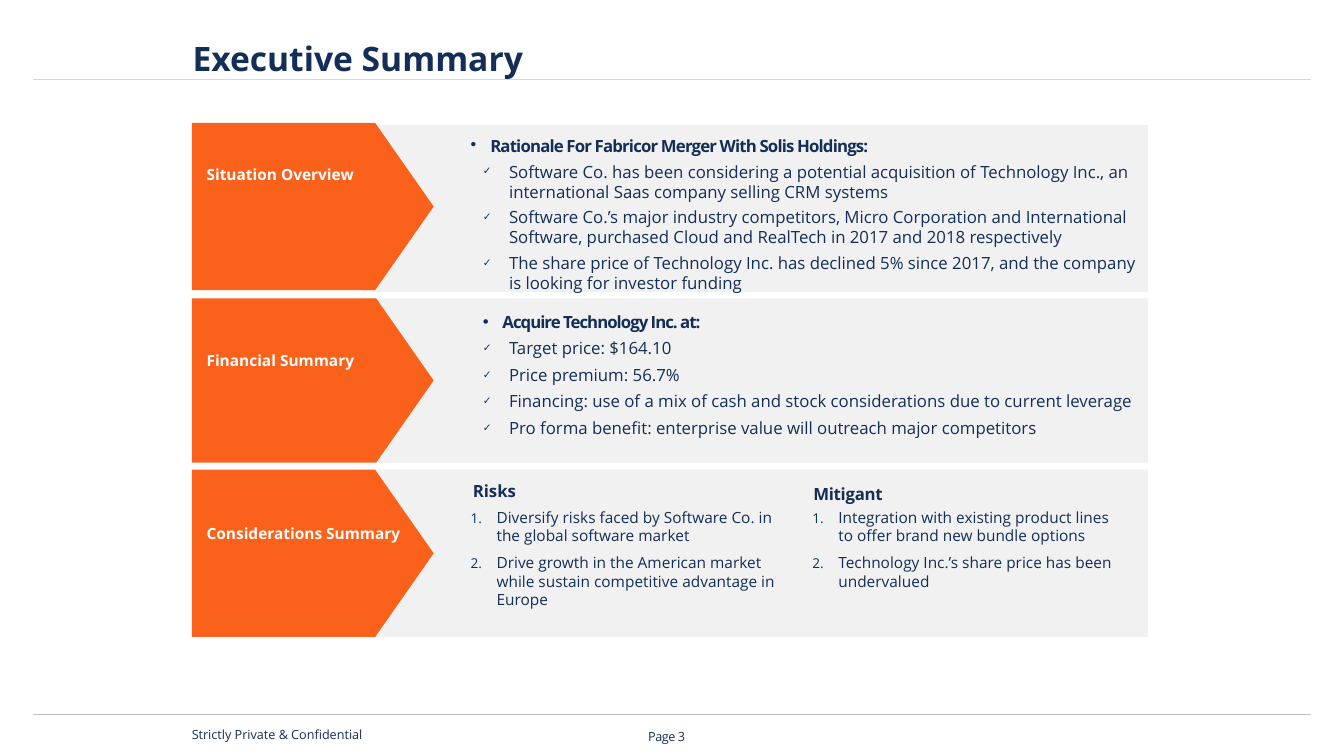
from collections import namedtuple

from lxml import etree
from pptx import Presentation
from pptx.dml.color import RGBColor
from pptx.enum.shapes import MSO_CONNECTOR, MSO_SHAPE
from pptx.enum.text import MSO_ANCHOR, MSO_AUTO_SIZE, PP_ALIGN
from pptx.oxml.ns import qn
from pptx.util import Pt

RECT, ARROW = MSO_SHAPE.RECTANGLE, MSO_SHAPE.PENTAGON
STRAIGHT = MSO_CONNECTOR.STRAIGHT
TOP, LEFT, FIXED = MSO_ANCHOR.TOP, PP_ALIGN.LEFT, MSO_AUTO_SIZE.NONE

Style = namedtuple("Style", "size color bold tracking before after leading level margin bullet bullet_pct",
                   defaults=(False, 0, 0, 0, 1.0, 0, 0, None, 100))


class Theme:
    font = "Open Sans"
    navy, orange, white = "132E57", "FA621C", "FFFFFF"
    panel, bullet = "F1F1F1", "003366"
    top_rule, bottom_rule = "D9D9D9", "BEBEBE"
    title = Style(24, navy, True)
    label = Style(11, white, True)
    heading = Style(12, navy, True)
    tight_heading = Style(12, navy, True, -0.2)
    lead = Style(12, navy, True, -0.6, margin=14, bullet="•")
    spaced_lead = lead._replace(tracking=-0.7, leading=1.05)
    check = Style(12, navy, before=3.8, margin=18.7, bullet="✓", bullet_pct=62)
    sub_check = check._replace(leading=1.05, level=1)
    number = Style(11, navy, after=6, margin=18.5, bullet="1.", bullet_pct=88)
    footer = Style(9, navy)
    page = Style(9, navy, False, -0.3)


def put_text(sp, box, items):
    """Place a shape at box (points) and fill it with (style, text) paragraphs."""
    sp.left, sp.top, sp.width, sp.height = (Pt(v) for v in box)
    tf = sp.text_frame
    tf.word_wrap, tf.auto_size, tf.vertical_anchor = True, FIXED, TOP
    tf.margin_left = tf.margin_top = tf.margin_right = tf.margin_bottom = 0
    tf.text = "\n".join(text for _, text in items)
    for i, (p, (style, _)) in enumerate(zip(tf.paragraphs, items)):
        pPr = p._p.get_or_add_pPr()
        pPr.set("marL", str(Pt(style.margin)))
        pPr.set("indent", str(-Pt(style.margin)))
        if style.bullet:
            color = etree.SubElement(pPr, qn("a:buClr"))
            etree.SubElement(color, qn("a:srgbClr"), val=Theme.bullet)
            etree.SubElement(pPr, qn("a:buSzPct"), val=str(style.bullet_pct * 1000))
            if style.bullet == "1.":
                etree.SubElement(pPr, qn("a:buAutoNum"), type="arabicPeriod")
            else:
                etree.SubElement(pPr, qn("a:buChar"), char=style.bullet)
        else:
            etree.SubElement(pPr, qn("a:buNone"))
        p.level, p.alignment, p.line_spacing = style.level, LEFT, style.leading
        p.space_before = Pt(style.before if i else 0)
        p.space_after = Pt(style.after)
        for r in p.runs:
            r.font.name, r.font.size, r.font.bold = Theme.font, Pt(style.size), style.bold
            r.font.color.rgb = RGBColor.from_string(style.color)
            if style.tracking:
                r._r.get_or_add_rPr().set("spc", str(round(style.tracking * 100)))


def add_block(kind, box, color):
    sp = s.shapes.add_shape(kind, *(Pt(v) for v in box))
    sp.shadow.inherit = False
    sp.fill.solid()
    sp.fill.fore_color.rgb = RGBColor.from_string(color)
    sp.line.fill.background()
    return sp


prs = Presentation()
prs.slide_width, prs.slide_height = Pt(960), Pt(540)
s = prs.slides.add_slide(prs.slide_layouts.get_by_name("Comparison"))
placeholders = list(s.placeholders)

# Rules under the title and above the footer
for y, color in ((56.9, Theme.top_rule), (510.4, Theme.bottom_rule)):
    rule = s.shapes.add_connector(STRAIGHT, Pt(23.8), Pt(y), Pt(936.7), Pt(y))
    rule.line.width = Pt(0.48)
    rule.line.color.rgb = RGBColor.from_string(color)
    etree.SubElement(rule._element.spPr, qn("a:effectLst"))

# Section rows: label, label top, arrow top, panel top, height
sections = [
    ("Situation Overview", 118, 87.8, 89.2, 119.5),
    ("Financial Summary", 250.6, 213.2, 213.2, 117.2),
    ("Considerations Summary", 374.4, 335.5, 335.5, 119.5),
]
for label, label_top, arrow_top, panel_top, height in sections:
    add_block(RECT, (258.5, panel_top, 561.5, height), Theme.panel)
    arrow = add_block(ARROW, (137, arrow_top, 172.8, height), Theme.orange)
    arrow.adjustments[0] = 0.35
    put_text(s.shapes.add_textbox(0, 0, 0, 0), (147.6, label_top, 160, 15), [(Theme.label, label)])

# Title and the four lists
situation = [
    "Software Co. has been considering a potential acquisition of Technology Inc., an international "
    "Saas company selling CRM systems",
    "Software Co.’s major industry competitors, Micro Corporation and International Software, "
    "purchased Cloud and RealTech in 2017 and 2018 respectively",
    "The share price of Technology Inc. has declined 5% since 2017, and the company is looking for "
    "investor funding",
]
financial = [
    "Target price: $164.10",
    "Price premium: 56.7%",
    "Financing: use of a mix of cash and stock considerations due to current leverage",
    "Pro forma benefit: enterprise value will outreach major competitors",
]
risks = [
    "Diversify risks faced by Software Co. in the global software market",
    "Drive growth in the American market while sustain competitive advantage in Europe",
]
mitigants = [
    "Integration with existing product lines to offer brand new bundle options",
    "Technology Inc.’s share price has been undervalued",
]
contents = [
    ((137.5, 27.4, 446, 30), [(Theme.title, "Executive Summary")]),
    ((344.9, 115.2, 471, 95), [(Theme.check, text) for text in situation]),
    ((344.9, 221.8, 471, 108), [(Theme.spaced_lead, "Acquire Technology Inc. at:")]
     + [(Theme.sub_check, text) for text in financial]),
    ((336.2, 362.9, 229, 92), [(Theme.number, text) for text in risks]),
    ((580.3, 362.9, 217.5, 61), [(Theme.number, text) for text in mitigants]),
]
for sp, (box, items) in zip(placeholders, contents):
    put_text(sp, box, items)
    sp.element.getparent().append(sp.element)  # bring in front of the panels

# Headings and footer
captions = [
    (Theme.lead, "Rationale For Fabricor Merger With Solis Holdings:", (336.2, 97.2, 480, 17)),
    (Theme.heading, "Risks", (337.7, 343.4, 60, 17)),
    (Theme.tight_heading, "Mitigant", (581, 345.6, 69, 17)),
    (Theme.footer, "Strictly Private & Confidential", (137, 519.1, 139, 12)),
    (Theme.page, "Page 3", (463, 520.6, 37, 12)),
]
for style, text, box in captions:
    put_text(s.shapes.add_textbox(0, 0, 0, 0), box, [(style, text)])

prs.save("out.pptx")
